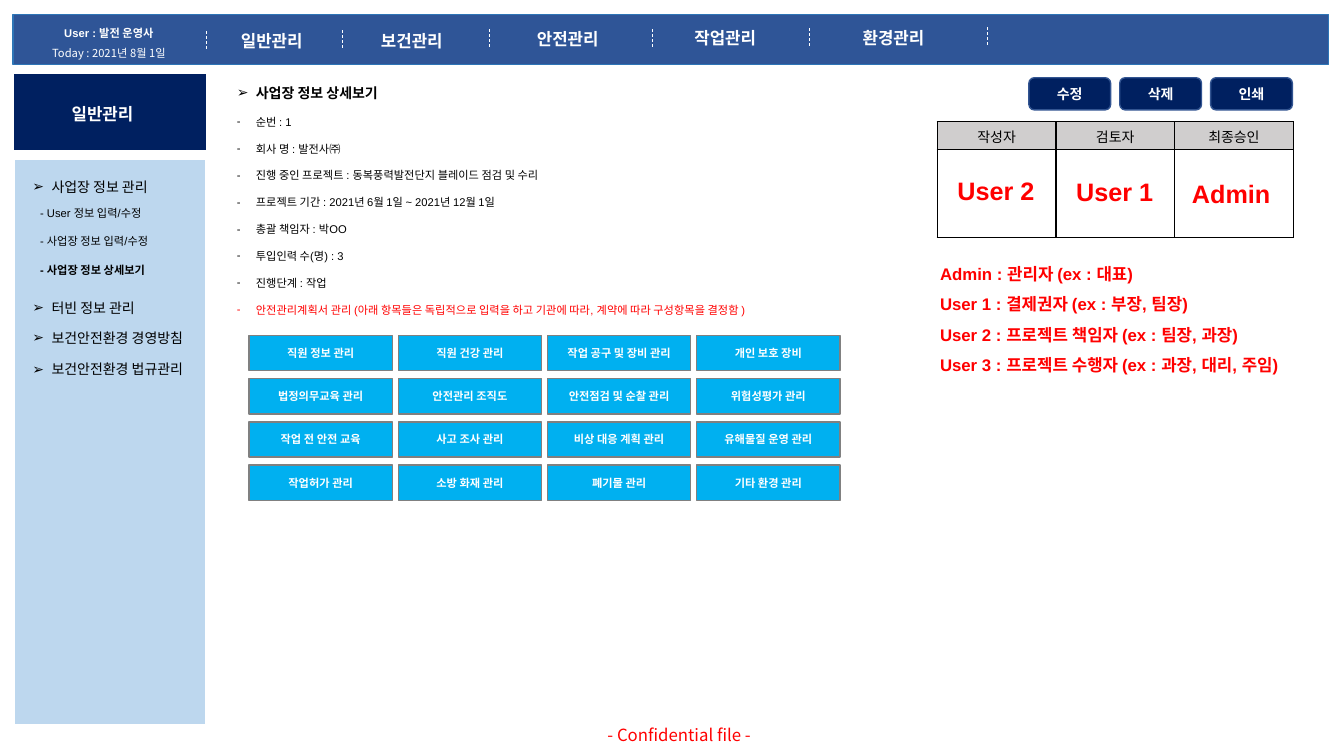
from lxml import etree
from pptx import Presentation, util as u
from pptx.dml.color import RGBColor
from pptx.enum import dml, shapes, text
from pptx.oxml.ns import qn

COLORS = {"navy": "002060", "pale": "BDD7EE", "bar": "2F5597", "bar_edge": "2E75B6",
          "button_edge": "325491", "tile": "00B0F0", "tile_edge": "808080",
          "head": "D0CECE", "red": "FF0000", "white": "FFFFFF", "black": "000000"}
KOREAN = "Noto Sans CJK KR"
CENTER = text.PP_ALIGN.CENTER


def rgb(name):
    return RGBColor.from_string(COLORS[name])


class Screen:
    def __init__(self, page):
        self.page = page

    def style(self, para, size, color, bold=False, font="Arial", align=None):
        para.alignment = align
        for span in para.runs:
            span.font.size, span.font.bold, span.font.name = u.Pt(size), bold, font
            span.font.color.rgb = rgb(color)
            east_asian = etree.SubElement(span.font._element, qn("a:ea"))
            east_asian.set("typeface", KOREAN)

    def bullet(self, para, char):
        properties = para._p.get_or_add_pPr()
        properties.set("marL", str(u.Cm(0.48)))
        properties.set("indent", str(-u.Cm(0.48)))
        etree.SubElement(properties, qn("a:buFont")).set("typeface", "Arial")
        etree.SubElement(properties, qn("a:buChar")).set("char", char)

    def label(self, lines, left, top, width, height, size, color, spacing=None, **look):
        box = self.page.shapes.add_textbox(u.Cm(left), u.Cm(top), u.Cm(width), u.Cm(height))
        frame = box.text_frame
        frame.word_wrap = True
        frame.text = lines
        for para in frame.paragraphs:
            para.line_spacing = spacing
            self.style(para, size, color, **look)
        return frame.paragraphs

    def panel(self, left, top, width, height, fill, edge, weight=1.0, words="", size=8,
              font="Arial", kind=shapes.MSO_SHAPE.RECTANGLE):
        panel = self.page.shapes.add_shape(kind, u.Cm(left), u.Cm(top), u.Cm(width), u.Cm(height))
        panel.shadow.inherit = False
        panel.fill.solid()
        panel.fill.fore_color.rgb = rgb(fill)
        panel.line.color.rgb = rgb(edge)
        panel.line.width = u.Pt(weight)
        if words:
            frame = panel.text_frame
            frame.text = words
            frame.vertical_anchor = text.MSO_ANCHOR.MIDDLE
            self.style(frame.paragraphs[0], size, "white", True, font, CENTER)
        return panel

    def title(self, words, left, top, width, height, behind):
        """Place the title placeholder directly in front of the panel behind it."""
        title = self.page.shapes.title
        behind.element.addnext(title.element)
        title.left, title.top = u.Cm(left), u.Cm(top)
        title.width, title.height = u.Cm(width), u.Cm(height)
        frame = title.text_frame
        frame.text = words
        frame.auto_size = text.MSO_AUTO_SIZE.NONE
        frame.vertical_anchor = text.MSO_ANCHOR.TOP
        self.style(frame.paragraphs[0], 12, "white", True, align=text.PP_ALIGN.LEFT)

    def divider(self, left, top, length):
        line = self.page.shapes.add_connector(
            shapes.MSO_CONNECTOR.STRAIGHT, u.Cm(left), u.Cm(top), u.Cm(left), u.Cm(top + length))
        line.line.color.rgb = rgb("white")
        line.line.width = u.Pt(0.5)
        line.line.dash_style = dml.MSO_LINE.DASH
        etree.SubElement(line._element.spPr, qn("a:effectLst"))

    def border(self, cell):
        properties = cell._tc.get_or_add_tcPr()
        for position, side in enumerate(("lnL", "lnR", "lnT", "lnB")):
            line = etree.Element(qn("a:" + side), w=str(u.Pt(1)))
            fill = etree.SubElement(line, qn("a:solidFill"))
            etree.SubElement(fill, qn("a:srgbClr"), val=COLORS["black"])
            properties.insert(position, line)

    def approval_table(self, heads, left, top, column, rows):
        table = self.page.shapes.add_table(
            len(rows), len(heads), u.Cm(left), u.Cm(top),
            u.Cm(column * len(heads)), u.Cm(sum(rows))).table
        table.first_row = table.horz_banding = False
        for row, height in zip(table.rows, rows):
            row.height = u.Cm(height)
        for index, head in enumerate(heads):
            table.columns[index].width = u.Cm(column)
            top_cell, blank_cell = table.cell(0, index), table.cell(1, index)
            top_cell.text = head
            top_cell.vertical_anchor = text.MSO_ANCHOR.MIDDLE
            self.style(top_cell.text_frame.paragraphs[0], 10, "black", font=KOREAN, align=CENTER)
            top_cell.fill.solid()
            top_cell.fill.fore_color.rgb = rgb("head")
            blank_cell.fill.background()
            self.border(top_cell)
            self.border(blank_cell)


DETAILS = ["사업장 정보 상세보기", "순번 : 1", "회사 명 : 발전사㈜",
           "진행 중인 프로젝트 : 동복풍력발전단지 블레이드 점검 및 수리",
           "프로젝트 기간 : 2021년 6월 1일 ~ 2021년 12월 1일",
           "총괄 책임자 : 박OO", "투입인력 수(명) : 3", "진행단계 : 작업",
           "안전관리계획서 관리 (아래 항목들은 독립적으로 입력을 하고 기관에 따라, "
           "계약에 따라 구성항목을 결정함 )"]
ROLES = ["Admin : 관리자 (ex : 대표)", "User 1 : 결제권자 (ex : 부장, 팀장)",
         "User 2 : 프로젝트 책임자 (ex : 팀장, 과장)",
         "User 3 : 프로젝트 수행자 (ex : 과장, 대리, 주임)"]
TILES = [["직원 정보 관리", "직원 건강 관리", "작업 공구 및 장비 관리", "개인 보호 장비"],
         ["법정의무교육 관리", "안전관리 조직도", "안전점검 및 순찰 관리", "위험성평가 관리"],
         ["작업 전 안전 교육", "사고 조사 관리", "비상 대응 계획 관리", "유해물질 운영 관리"],
         ["작업허가 관리", "소방 화재 관리", "폐기물 관리", "기타 환경 관리"]]
MENU = [("사업장 정보 관리", 4.37), ("터빈 정보 관리", 7.42),
        ("보건안전환경 경영방침", 8.18), ("보건안전환경 법규관리", 8.97)]
SUBMENU = ["- User 정보 입력/수정", "- 사업장 정보 입력/수정", "- 사업장 정보 상세보기"]
TABS = [("일반관리", 5.82, 0.64), ("보건관리", 9.35, 0.66), ("안전관리", 13.28, 0.61),
        ("작업관리", 17.25, 0.58), ("환경관리", 21.49, 0.58)]
DIVIDERS = [(5.21, 0.79), (8.64, 0.76), (12.32, 0.74), (16.43, 0.74), (20.4, 0.71), (24.87, 0.69)]
APPROVERS = [("User 2", 23.88, 4.29), ("User 1", 26.87, 4.32), ("Admin", 29.79, 4.37)]


def draw_sidebar(screen):
    heading = screen.panel(0.33, 1.85, 4.88, 1.96, "navy", "white", 1.5)
    screen.panel(0.36, 4.01, 4.83, 14.25, "pale", "white", 1.5)
    screen.title("일반관리", 1.55, 2.49, 2.49, 0.76, heading)
    for words, top in MENU:
        screen.bullet(screen.label(words, 0.57, top, 4.83, 0.69, 10, "black")[0], "➢")
    for index, words in enumerate(SUBMENU):
        screen.label(words, 0.76, 5.08 + 0.71 * index, 4.83, 0.61, 8, "black",
                     bold=words == SUBMENU[-1])


def draw_header(screen):
    screen.panel(0.33, 0.36, 33.15, 1.27, "bar", "bar_edge")
    for left, top in DIVIDERS:
        screen.divider(left, top, 0.48)
    for words, left, top in TABS:
        screen.label(words, left, top, 2.49, 0.76, 12, "white", bold=True)
    user, today = screen.label("User : 발전 운영사\nToday : 2021년 8월 1일", 0.79, 0.36, 3.91, 1.22,
                               8, "white", spacing=1.5, font=KOREAN, align=CENTER)
    user.runs[0].font.name = "Arial"
    user.runs[0].font.bold = True


def draw_details(screen):
    heading, *items = screen.label("\n".join(DETAILS), 5.72, 2.01, 18.31, 8.28, 8, "black")
    heading.runs[0].font.size = u.Pt(10)
    heading.runs[0].font.bold = True
    screen.bullet(heading, "➢")
    for item in items:
        item.space_before = u.Pt(9.6)
        screen.bullet(item, "-")
    items[-1].runs[0].font.color.rgb = rgb("red")
    for row, names in enumerate(TILES):
        for column, name in enumerate(names):
            screen.panel(6.28 + 3.76 * column, 8.45 + 1.09 * row, 3.61, 0.89,
                         "tile", "tile_edge", words=name)


def draw_approval(screen):
    for index, words in enumerate(["수정", "삭제", "인쇄"]):
        screen.panel(25.93 + 2.29 * index, 1.96, 2.06, 0.81, "navy", "button_edge", words=words,
                     size=10, font=KOREAN, kind=shapes.MSO_SHAPE.ROUNDED_RECTANGLE)
    screen.approval_table(["작성자", "검토자", "최종승인"], 23.62, 3.07, 2.99, [0.69, 2.23])
    for words, left, top in APPROVERS:
        screen.label(words, left, top, 2.77, 1.02, 18, "red", bold=True)
    screen.label("\n".join(ROLES), 23.44, 6.27, 10.03, 3.23, 12, "red", spacing=1.5, bold=True)


def main():
    deck = Presentation()
    deck.slide_width, deck.slide_height = u.Cm(33.87), u.Cm(19.05)
    screen = Screen(deck.slides.add_slide(deck.slide_layouts[5]))
    draw_sidebar(screen)
    draw_header(screen)
    draw_details(screen)
    draw_approval(screen)
    screen.label("- Confidential file -", 15.06, 18.14, 8.05, 0.76, 12, "red", font=KOREAN)
    deck.save("out.pptx")


if __name__ == "__main__":
    main()
